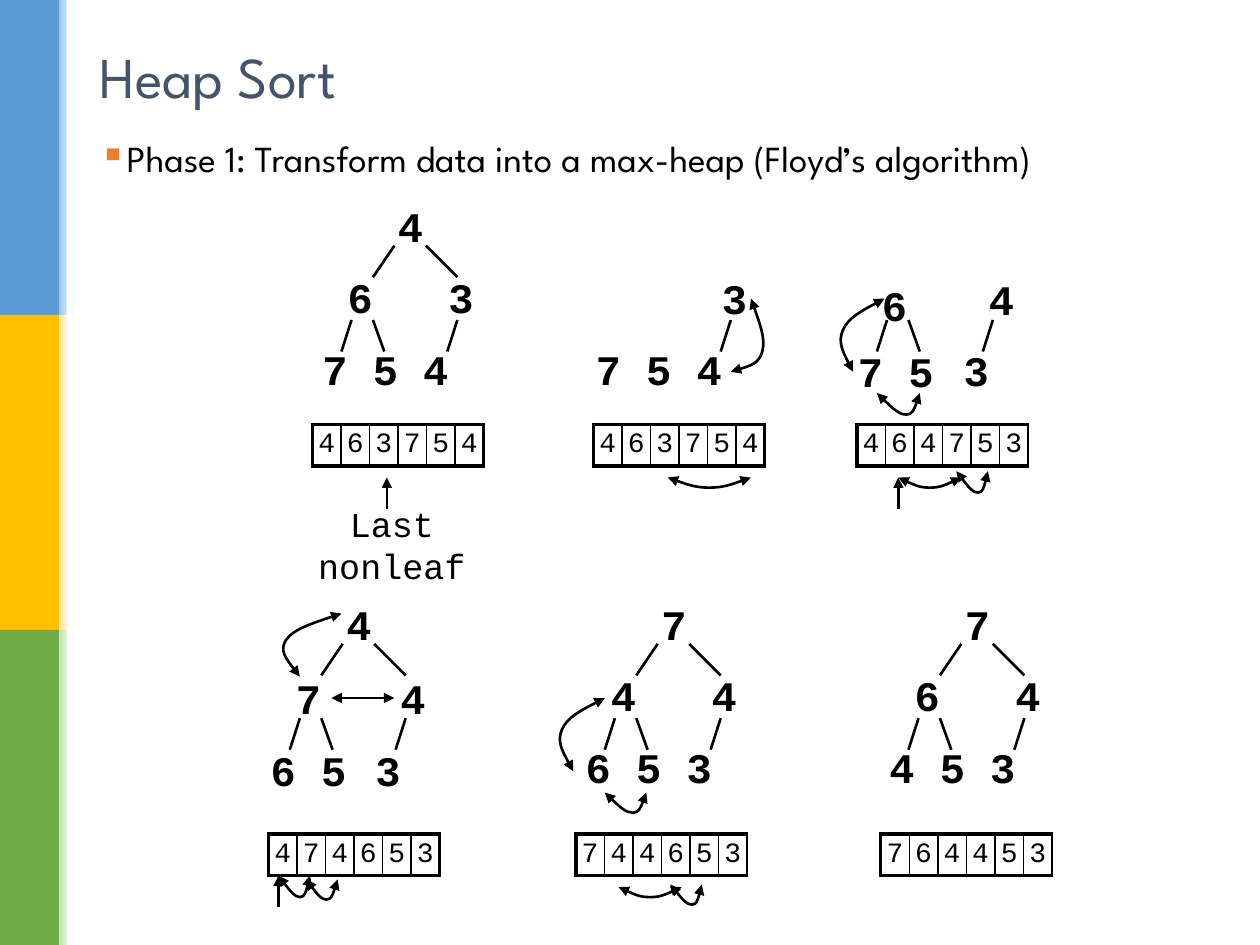
from lxml import etree
from pptx import Presentation
from pptx.dml.color import RGBColor
from pptx.enum.shapes import MSO_CONNECTOR as CONN, MSO_SHAPE as SHAPE
from pptx.enum.text import MSO_ANCHOR as ANCHOR, PP_ALIGN as ALIGN
from pptx.oxml.ns import qn
from pptx.util import Inches, Pt

COLORS = {
    "black": "000000", "white": "FFFFFF", "title": "44546A", "bullet": "ED7D31",
    "blue": "5B9BD5", "yellow": "FFC000", "green": "70AD47",
    "pale_blue": "9DC3E6", "pale_yellow": "FFE699", "pale_green": "C5E0B4",
}
MONO = "Courier New"
SANS = "League Spartan"
CHAR_W = 0.2
LEVEL_H = 0.57

EDGES = {
    "root_left": (0.67, 0.41, 0.5, 0.66),
    "root_right": (0.92, 0.41, 1.17, 0.66),
    "left_left": (0.33, 1, 0.25, 1.25),
    "left_right": (0.5, 1, 0.59, 1.25),
    "right_left": (1.17, 1, 1.09, 1.25),
}
TREES = [
    (2.46, 1.54, EDGES),
    (4.63, 1.54, ["right_left"]),
    (6.71, 1.54, ["left_left", "left_right", "right_left"]),
    (2.05, 4.7, EDGES),
    (4.55, 4.7, EDGES),
    (6.96, 4.7, EDGES),
]
ROOT, PAIR, NEXT, LAST = [3], [1, 5], [1], [5]
NODES = [
    (2.46, 1.54, 1.42, [("\t4", ROOT), ("\t6\t3", PAIR), ("7 5 4", [])]),
    (4.63, 1.54 + LEVEL_H, 1.42, [("\t3", LAST), ("7 5 4", [])]),
    (6.9, 2.17, 0.44, [("6", [])]),
    (6.71, 2.12 + LEVEL_H, 0.92, [("7 5", [])]),
    (7.55, 2.12, 0.75, [("\t4", NEXT), ("3", [])]),
    (2.05, 4.7, 1.33, [("\t4", ROOT)]),
    (2.05, 5.29, 0.92, [("\t7", NEXT), ("6 5", [])]),
    (2.88, 5.29, 0.75, [("\t4", NEXT), ("3", [])]),
    (4.55, 4.7, 1.42, [("\t7", ROOT), ("\t4\t4", PAIR), ("6 5 3", [])]),
    (6.96, 4.7, 1.42, [("\t7", ROOT), ("\t6\t4", PAIR), ("4 5 3", [])]),
]
ARRAYS = [
    (2.48, 3.37, "463754"), (4.71, 3.37, "463754"), (6.8, 3.37, "464753"),
    (2.13, 6.62, "474653"), (4.57, 6.62, "744653"), (6.99, 6.62, "764453"),
]
SWAPS = [
    ((5.96, 2.37), (6.05, 2.79), (5.8, 2.95)),
    ((7.02, 2.37), (6.69, 2.62), (6.77, 2.95)),
    ((2.71, 4.87), (2.27, 5.08), (2.38, 5.37)),
    ((4.8, 5.54), (4.46, 5.79), (4.55, 6.12)),
    ((5.3, 3.79), (5.63, 3.87), (5.96, 3.79)),
    ((7.13, 3.79), (7.38, 3.87), (7.63, 3.79)),
    ((4.91, 7.04), (5.16, 7.12), (5.41, 7.04)),
    ((6.96, 3.12), (7.19, 3.29), (7.3, 3.12)),
    ((4.8, 6.29), (5.02, 6.45), (5.13, 6.29)),
    ((7.59, 3.74), (7.76, 3.91), (7.84, 3.74)),
    ((2.21, 6.95), (2.38, 7.12), (2.46, 6.95)),
    ((2.43, 6.98), (2.59, 7.14), (2.68, 6.98)),
    ((5.32, 7.02), (5.49, 7.18), (5.57, 7.02)),
]


def rgb(name):
    return RGBColor.from_string(COLORS[name])


def add_xml(parent, tag, **attrs):
    return etree.SubElement(parent, qn(tag), attrs)


def style_paragraph(p, size, font=MONO, color="black", bold=False, before=0):
    for r in p.runs:
        r.font.size, r.font.name, r.font.bold = Pt(size), font, bold
        r.font.color.rgb = rgb(color)
    if before:
        spacing = add_xml(p._p.get_or_add_pPr(), "a:spcBef")
        add_xml(spacing, "a:spcPct", val=str(before * 1000))


def add_text(slide, x, y, w, h, lines):
    tf = slide.shapes.add_textbox(Inches(x), Inches(y), Inches(w), Inches(h)).text_frame
    tf.word_wrap = True
    tf.text = "\n".join(lines)
    return tf


def add_bar(slide, x, y, w, h, color, fade=False):
    sp = slide.shapes.add_shape(SHAPE.RECTANGLE, Inches(x), Inches(y), Inches(w), Inches(h))
    sp.shadow.inherit = False
    sp.line.fill.background()
    if fade:
        sp.fill.gradient()
        sp.fill.gradient_angle = 0
        for stop, name in zip(sp.fill.gradient_stops, (color, "white")):
            stop.color.rgb = rgb(name)
    else:
        sp.fill.solid()
        sp.fill.fore_color.rgb = rgb(color)


def style_line(sp, width, ends):
    sp.line.color.rgb = rgb("black")
    sp.line.width = Pt(width)
    for end in ends:
        add_xml(sp.line._get_or_add_ln(), f"a:{end}End", type="triangle")


def add_line(slide, x1, y1, x2, y2, width=1.5, ends=()):
    cxn = slide.shapes.add_connector(CONN.STRAIGHT, *map(Inches, (x1, y1, x2, y2)))
    style_line(cxn, width, ends)
    add_xml(cxn._element.spPr, "a:effectLst")


def add_swap(slide, start, mid, end):
    step = [(b - a) / 6 for a, b in zip(start, end)]
    into = [m - d for m, d in zip(mid, step)]
    out = [m + d for m, d in zip(mid, step)]
    leave = [(a + b) / 2 for a, b in zip(start, into)]
    arrive = [(a + b) / 2 for a, b in zip(out, end)]
    points = [tuple(map(Inches, pt)) for pt in (leave, into, mid, out, arrive, end)]
    builder = slide.shapes.build_freeform(*map(Inches, start))
    builder.add_line_segments(points, close=False)
    sp = builder.convert_to_shape()
    segments = list(sp._element.iter(qn("a:lnTo")))
    outline = segments[0].getparent()
    for i in (0, 3):
        bezier = add_xml(outline, "a:cubicBezTo")
        for segment in segments[i:i + 3]:
            bezier.append(segment[0])
            outline.remove(segment)
    sp.shadow.inherit = False
    sp.fill.background()
    style_line(sp, 1.5, ("head", "tail"))


def add_nodes(slide, x, y, w, rows):
    tf = add_text(slide, x, y, w, LEVEL_H * len(rows), [])
    for i, (text, columns) in enumerate(rows):
        p = tf.add_paragraph() if i else tf.paragraphs[0]
        p.text = text
        style_paragraph(p, 24, bold=True, before=50)
        if columns:
            tabs = add_xml(p._p.get_or_add_pPr(), "a:tabLst")
            for column in columns:
                add_xml(tabs, "a:tab", pos=str(Inches(column * CHAR_W)), algn="l")


def add_array(slide, x, y, digits):
    n = len(digits)
    frame = slide.shapes.add_table(1, n, Inches(x), Inches(y), Inches(1.36), Inches(0.33))
    for i, digit in enumerate(digits):
        cell = frame.table.cell(0, i)
        cell.text = digit
        cell.vertical_anchor = ANCHOR.MIDDLE
        cell.margin_left = cell.margin_right = Inches(0.01)
        cell.margin_top = cell.margin_bottom = Inches(0.01)
        p = cell.text_frame.paragraphs[0]
        p.alignment = ALIGN.CENTER
        style_paragraph(p, 16, before=20)
        widths = {"L": 1 if i else 2.25, "R": 1 if i < n - 1 else 1.5, "T": 2.25, "B": 2.25}
        for side, width in widths.items():
            ln = add_xml(cell._tc.get_or_add_tcPr(), f"a:ln{side}", w=str(Pt(width)))
            add_xml(add_xml(ln, "a:solidFill"), "a:srgbClr", val=COLORS["black"])
        cell.fill.background()


def add_heading(slide):
    for i, color in enumerate(("blue", "yellow", "green")):
        add_bar(slide, 0, 2.5 * i, 0.47, 2.5, color)
        add_bar(slide, 0.47, 2.5 * i, 0.12, 2.5, f"pale_{color}", fade=True)
    add_bar(slide, 0.53, 0, 0.04, 7.5, "white")
    tf = add_text(slide, 0.69, 0.24, 8.62, 0.71, ["Heap Sort"])
    tf.vertical_anchor = ANCHOR.MIDDLE
    style_paragraph(tf.paragraphs[0], 33, SANS, "title")
    tf = add_text(slide, 0.69, 1.07, 8.93, 0.9,
                  ["Phase 1: Transform data into a max-heap (Floyd’s algorithm)"])
    p = tf.paragraphs[0]
    p.line_spacing = 0.9
    style_paragraph(p, 21, SANS, before=30)
    pPr = p._p.get_or_add_pPr()
    pPr.set("marL", str(Inches(0.19)))
    pPr.set("indent", str(-Inches(0.19)))
    add_xml(add_xml(pPr, "a:buClr"), "a:srgbClr", val=COLORS["bullet"])
    add_xml(pPr, "a:buChar", char="▪")


def main():
    prs = Presentation()
    prs.slide_width, prs.slide_height = Inches(10), Inches(7.5)
    slide = prs.slides.add_slide(prs.slide_layouts[6])
    add_heading(slide)
    for nodes in NODES:
        add_nodes(slide, *nodes)
    for x, y, names in TREES:
        for x1, y1, x2, y2 in (EDGES[name] for name in names):
            add_line(slide, x + x1, y + y1, x + x2, y + y2)
    for array in ARRAYS:
        add_array(slide, *array)
    for swap in SWAPS:
        add_swap(slide, *swap)
    for x, y, width in ((3.07, 3.79, 1), (7.13, 3.79, 1.5), (2.21, 6.95, 1.5)):
        add_line(slide, x, y, x, y + 0.25, width, ["head"])
    add_line(slide, 2.63, 5.54, 3.13, 5.54, ends=("head", "tail"))
    p = add_text(slide, 2.15, 3.94, 1.92, 0.43, ["Last nonleaf"]).paragraphs[0]
    p.alignment = ALIGN.CENTER
    style_paragraph(p, 20, before=50)
    prs.save("out.pptx")


if __name__ == "__main__":
    main()
